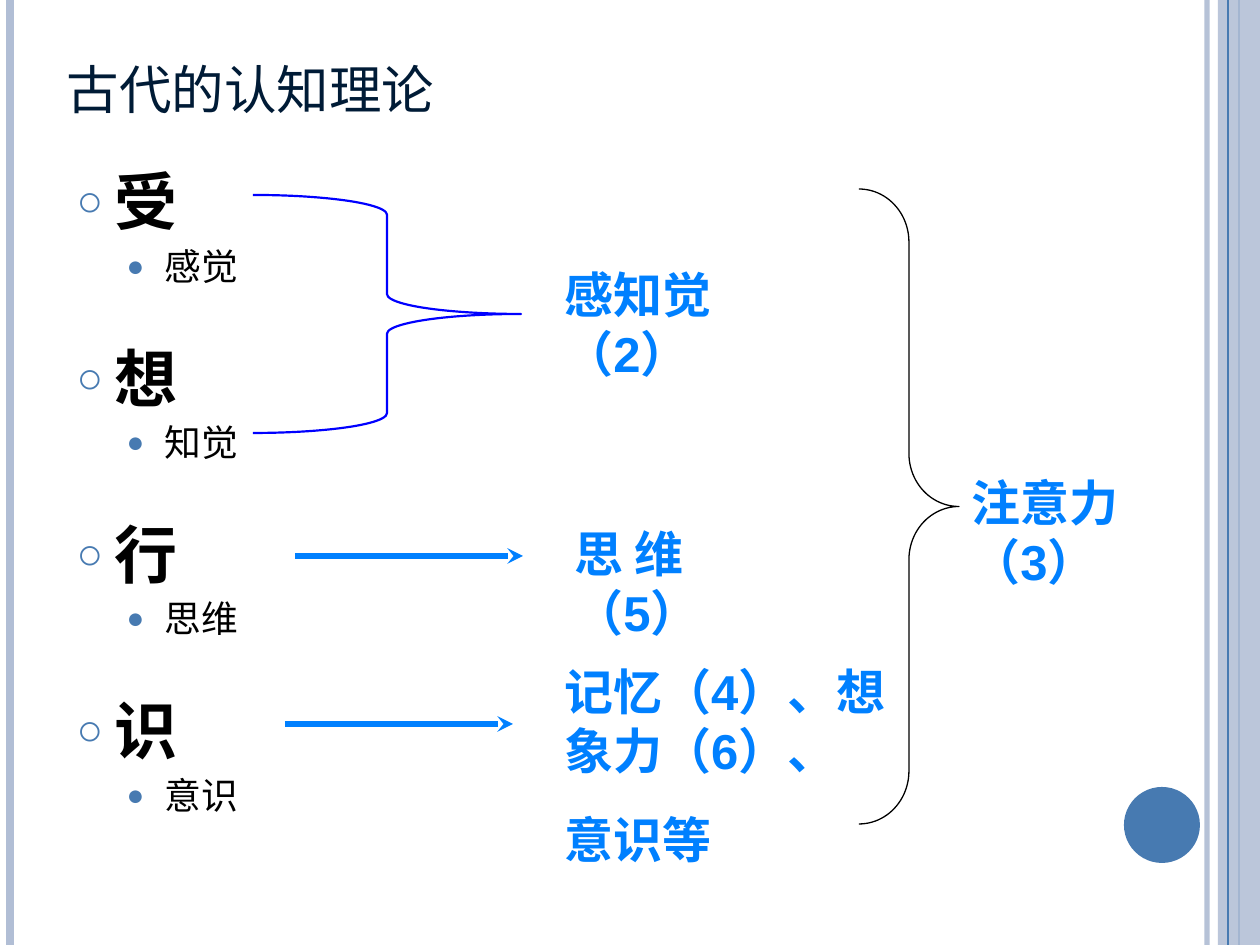
from typing import NamedTuple

from lxml.etree import SubElement
from pptx import Presentation
from pptx.dml.color import RGBColor
from pptx.enum.lang import MSO_LANGUAGE_ID
from pptx.enum.shapes import MSO_CONNECTOR, MSO_SHAPE
from pptx.enum.text import MSO_ANCHOR, MSO_AUTO_SIZE, PP_ALIGN
from pptx.oxml.ns import qn
from pptx.util import Emu, Pt

EMU_PER_PX = 914400 / 126
WIDTH, HEIGHT = 1260, 945
THEME_FONT, LABEL_FONT = "TeX Gyre Adventor", "Arial"
STEEL, PALE, AZURE = "477AB1", "B1BED5", "0080FF"
INK, NAVY, BLUE = "000000", "001B36", "0000FF"


class Box(NamedTuple):
    left: int
    top: int
    width: int
    height: int


class Stroke(NamedTuple):
    x1: int
    y1: int
    x2: int
    y2: int
    colour: str
    points: float
    opacity: int = 100
    arrow: bool = False


class Label(NamedTuple):
    box: Box
    text: str


class Brace(NamedTuple):
    box: Box
    curl: float
    colour: str
    points: float


class BulletLevel(NamedTuple):
    char: str
    size_percent: int
    margin: int
    hang: int
    font_size: int
    bold: bool
    space_before: float


class Concept(NamedTuple):
    ancient: str
    modern: str


HEADING = BulletLevel("○", 70, 38, 38, 36, True, 34)
DETAIL = BulletLevel("●", 80, 88, 38, 21, False, 5.2)

RULES_BEHIND_BAND = [
    Stroke(1207, 0, 1207, HEIGHT, PALE, 3, 93),
    Stroke(10, 0, 10, HEIGHT, PALE, 4.5),
    Stroke(1239, 0, 1239, HEIGHT, STEEL, 1.5),
]
RULE_OVER_BAND = Stroke(1228, 0, 1228, HEIGHT, STEEL, 0.75)
SIDE_BAND = Box(1218, 0, 42, HEIGHT)
PAGE_DOT = Box(1124, 787, 76, 76)

CONCEPTS = [
    Concept("受", "感觉"),
    Concept("想", "知觉"),
    Concept("行", "思维"),
    Concept("识", "意识"),
]
BRACES = [
    Brace(Box(253, 195, 268, 238), 0.0833, BLUE, 1.25),
    Brace(Box(859, 189, 100, 635), 0.53, INK, 0.75),
]
ARROWS = [
    Stroke(295, 556, 523, 556, AZURE, 3, arrow=True),
    Stroke(285, 724, 513, 724, AZURE, 3, arrow=True),
]
LABELS = [
    Label(Box(552, 258, 258, 131), "感知觉（2）"),
    Label(Box(562, 517, 228, 131), "思 维（5）"),
    Label(Box(552, 655, 348, 220), "记忆（4）、想象力（6）、\n意识等"),
    Label(Box(959, 466, 258, 131), "注意力（3）"),
]


def px(length: int) -> Emu:
    """Turn a length in px into EMU."""
    return Emu(round(length * EMU_PER_PX))


def place(box: Box) -> list[Emu]:
    """Return the box as left, top, width and height in EMU."""
    return [px(length) for length in box]


def paint(colour_format, colour: str, opacity: int = 100) -> None:
    """Give a solid fill its colour and opacity."""
    colour_format.solid()
    colour_format.fore_color.rgb = RGBColor.from_string(colour)
    if opacity < 100:
        tint = colour_format._xPr.find(qn("a:solidFill"))[0]
        SubElement(tint, qn("a:alpha"), val=str(opacity * 1000))


def format_runs(paragraph, font_name: str, size: int, colour: str, bold: bool) -> None:
    """Format every run of a paragraph."""
    for run in paragraph.runs:
        run.font.name = font_name
        run.font.size = Pt(size)
        run.font.bold = bold
        run.font.language_id = MSO_LANGUAGE_ID.SIMPLIFIED_CHINESE
        paint(run.font.fill, colour)


def draw_stroke(slide, stroke: Stroke) -> None:
    """Draw a straight line, with an arrowhead if asked for."""
    ends = [px(value) for value in stroke[:4]]
    connector = slide.shapes.add_connector(MSO_CONNECTOR.STRAIGHT, *ends)
    connector.line.width = Pt(stroke.points)
    paint(connector.line.fill, stroke.colour, stroke.opacity)
    if stroke.arrow:
        SubElement(connector.line._get_or_add_ln(), qn("a:tailEnd"), type="stealth")
    SubElement(connector._element.spPr, qn("a:effectLst"))


def draw_solid(slide, preset: MSO_SHAPE, box: Box, colour: str, opacity: int = 100) -> None:
    """Draw a filled shape without an outline."""
    solid = slide.shapes.add_shape(preset, *place(box))
    solid.shadow.inherit = False
    paint(solid.fill, colour, opacity)
    solid.line.fill.background()


def draw_brace(slide, brace: Brace) -> None:
    """Draw a right brace."""
    outline = slide.shapes.add_shape(MSO_SHAPE.RIGHT_BRACE, *place(brace.box))
    outline.adjustments[0] = brace.curl
    outline.shadow.inherit = False
    outline.fill.background()
    outline.line.width = Pt(brace.points)
    paint(outline.line.fill, brace.colour)


def draw_label(slide, label: Label) -> None:
    """Write a bold label beside a brace or an arrow."""
    frame = slide.shapes.add_textbox(*place(label.box)).text_frame
    frame.word_wrap = True
    frame.auto_size = MSO_AUTO_SIZE.SHAPE_TO_FIT_TEXT
    frame.text = label.text
    for index, paragraph in enumerate(frame.paragraphs):
        paragraph.space_before = Pt(17.5 if index else 0)
        format_runs(paragraph, LABEL_FONT, 28, AZURE, True)


def bring_forward(slide, placeholder, box: Box) -> None:
    """Move a placeholder to its box, in front of what is drawn so far."""
    slide.shapes._spTree.append(placeholder._element)
    placeholder.left, placeholder.top, placeholder.width, placeholder.height = place(box)
    placeholder.text_frame.auto_size = MSO_AUTO_SIZE.NONE


def write_title(slide) -> None:
    """Write the slide title."""
    title = slide.shapes.title
    bring_forward(slide, title, Box(54, 45, 1029, 81))
    title.text_frame.text = "古代的认知理论"
    title.text_frame.vertical_anchor = MSO_ANCHOR.BOTTOM
    heading = title.text_frame.paragraphs[0]
    heading.alignment = PP_ALIGN.LEFT
    format_runs(heading, THEME_FONT, 30, NAVY, False)


def format_bullet(paragraph, level: BulletLevel, first: bool) -> None:
    """Give a list paragraph its bullet, indent, spacing and font."""
    properties = paragraph._p.get_or_add_pPr()
    properties.set("marL", str(px(level.margin)))
    properties.set("indent", str(-px(level.hang)))
    SubElement(SubElement(properties, qn("a:buClr")), qn("a:srgbClr"), val=STEEL)
    SubElement(properties, qn("a:buSzPct"), val=str(level.size_percent * 1000))
    SubElement(properties, qn("a:buChar"), char=level.char)
    paragraph.line_spacing = 0.9
    paragraph.space_before = Pt(0 if first else level.space_before)
    format_runs(paragraph, THEME_FONT, level.font_size, INK, level.bold)


def write_concepts(slide) -> None:
    """List each ancient term with its modern counterpart below it."""
    body = slide.placeholders[1]
    bring_forward(slide, body, Box(64, 165, 1029, 672))
    body.text_frame.text = "\n".join(term for concept in CONCEPTS for term in concept)
    for index, paragraph in enumerate(body.text_frame.paragraphs):
        paragraph.level = index % 2
        format_bullet(paragraph, (HEADING, DETAIL)[index % 2], index == 0)


def main() -> None:
    """Build the slide and save it."""
    deck = Presentation()
    deck.slide_width, deck.slide_height = px(WIDTH), px(HEIGHT)
    slide = deck.slides.add_slide(deck.slide_layouts[1])
    for rule in RULES_BEHIND_BAND:
        draw_stroke(slide, rule)
    draw_solid(slide, MSO_SHAPE.RECTANGLE, SIDE_BAND, PALE, 87)
    draw_stroke(slide, RULE_OVER_BAND)
    draw_solid(slide, MSO_SHAPE.OVAL, PAGE_DOT, STEEL)
    write_title(slide)
    write_concepts(slide)
    for brace in BRACES:
        draw_brace(slide, brace)
    for arrow in ARROWS:
        draw_stroke(slide, arrow)
    for label in LABELS:
        draw_label(slide, label)
    deck.save("out.pptx")


if __name__ == "__main__":
    main()
